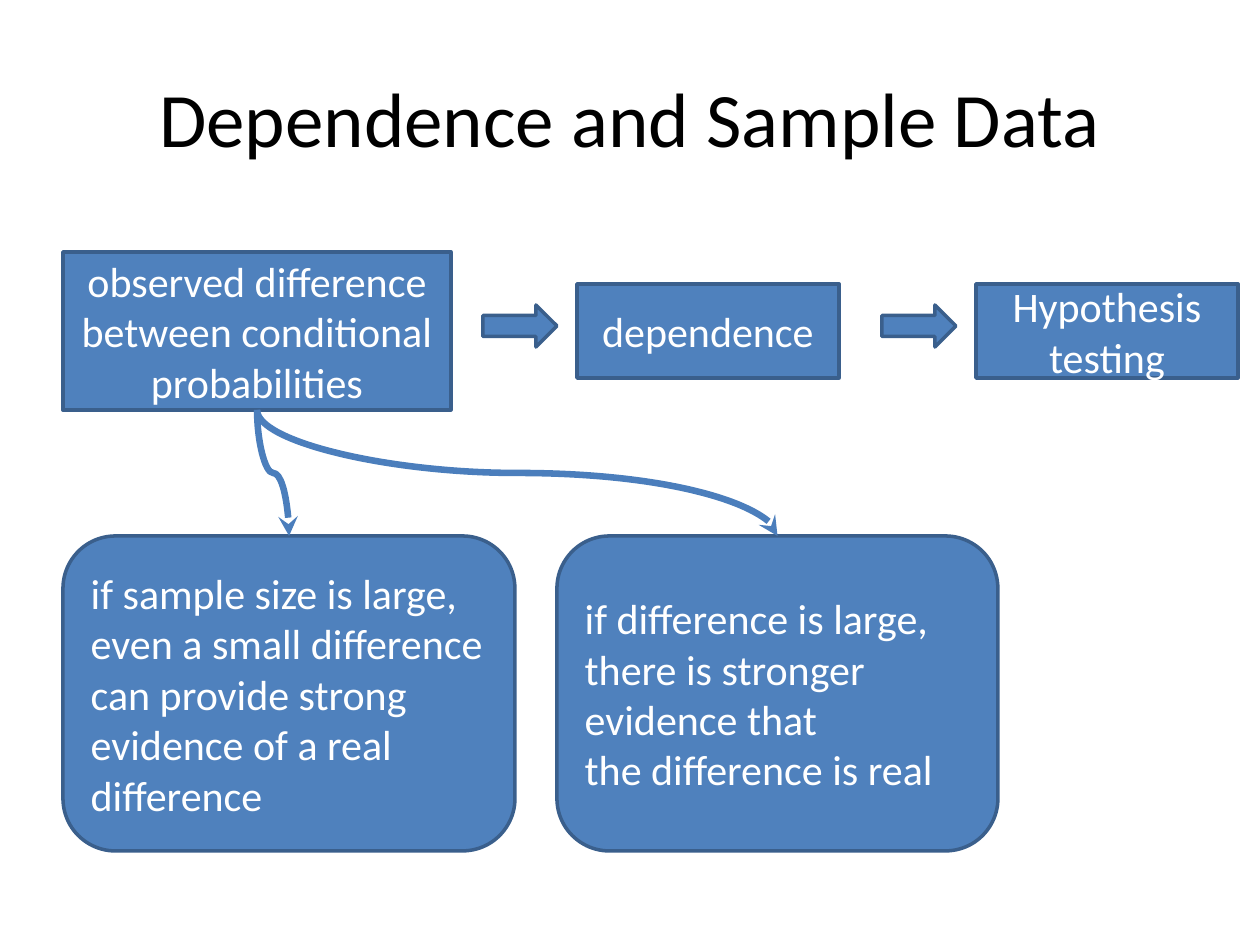
from lxml import etree
from pptx import Presentation
from pptx.dml.color import RGBColor
from pptx.enum.shapes import MSO_CONNECTOR, MSO_SHAPE
from pptx.enum.text import MSO_ANCHOR, PP_ALIGN
from pptx.oxml.ns import qn
from pptx.util import Pt

RECTANGLE = MSO_SHAPE.RECTANGLE
ROUNDED = MSO_SHAPE.ROUNDED_RECTANGLE
ARROW = MSO_SHAPE.RIGHT_ARROW
CURVE = MSO_CONNECTOR.CURVE
MIDDLE = MSO_ANCHOR.MIDDLE
CENTER = PP_ALIGN.CENTER
LEFT = PP_ALIGN.LEFT

EMU_PER_PX = 914400 / 126
FONT = "Calibri"
COLORS = {
    "title": "000000",
    "text": "FFFFFF",
    "fill": "4F81BD",
    "outline": "3A5F8C",
    "connector": "4B7EBC",
}
BOTTOM_SITE = 2
TOP_SITE = 0


def px(length):
    return round(length * EMU_PER_PX)


def color(name):
    return RGBColor.from_string(COLORS[name])


def write_text(shape, text, size, color_name, alignment):
    frame = shape.text_frame
    frame.word_wrap = True
    frame.vertical_anchor = MIDDLE
    frame.text = text
    for para in frame.paragraphs:
        para.alignment = alignment
        for span in para.runs:
            span.font.name = FONT
            span.font.size = Pt(size)
            span.font.color.rgb = color(color_name)


def add_title(page, box, text):
    title = page.shapes.add_textbox(*map(px, box))
    write_text(title, text, 44, "title", CENTER)


def add_block(page, kind, box, text="", alignment=CENTER):
    block = page.shapes.add_shape(kind, *map(px, box))
    block.shadow.inherit = False
    block.fill.solid()
    block.fill.fore_color.rgb = color("fill")
    block.line.color.rgb = color("outline")
    block.line.width = Pt(2)
    if text:
        write_text(block, text, 24, "text", alignment)
    return block


def add_step(page, box, text):
    left, top, width, height = box
    arrow_width, arrow_height, gap = 74, 42, 20
    arrow_top = top + 21
    add_block(page, ARROW, (left, arrow_top, arrow_width, arrow_height))
    text_offset = arrow_width + gap
    add_block(page, RECTANGLE,
              (left + text_offset, top, width - text_offset, height), text)


def add_curve(page, source, target):
    start_x, start_y = source.left + source.width // 2, source.top + source.height
    end_x, end_y = target.left + target.width // 2, target.top
    curve = page.shapes.add_connector(CURVE, start_x, start_y, end_x, end_y)
    curve.begin_connect(source, BOTTOM_SITE)
    curve.end_connect(target, TOP_SITE)
    across, down = end_x - start_x, end_y - start_y
    curve.width, curve.height = down, across
    curve.left = (start_x + end_x - down) // 2
    curve.top = (start_y + end_y - across) // 2
    properties = curve._element.spPr
    frame = properties.find(qn("a:xfrm"))
    frame.set("rot", "16200000")
    frame.set("flipH", "1")
    curve.line.color.rgb = color("connector")
    curve.line.width = Pt(3.75)
    outline = properties.find(qn("a:ln"))
    etree.SubElement(outline, qn("a:tailEnd"), type="stealth")
    etree.SubElement(properties, qn("a:effectLst"))


def add_consequence(page, box, text, source):
    block = add_block(page, ROUNDED, box, text, LEFT)
    add_curve(page, source, block)


def main():
    deck = Presentation()
    deck.slide_width, deck.slide_height = px(1260), px(945)
    page = deck.slides.add_slide(deck.slide_layouts[6])

    add_title(page, (63, 38, 1134, 158), "Dependence and Sample Data")
    observation = add_block(
        page, RECTANGLE, (63, 252, 388, 158),
        "observed difference\nbetween conditional\nprobabilities")
    for left, text in ((483, "dependence"), (882, "Hypothesis testing")):
        add_step(page, (left, 284, 356, 94), text)

    add_consequence(
        page, (63, 536, 452, 315),
        "if sample size is large, even a small difference can provide "
        "strong evidence of a real difference", observation)
    add_consequence(
        page, (557, 536, 441, 315),
        "if difference is large, there is stronger evidence that\n"
        "the difference is real", observation)
    deck.save("out.pptx")


if __name__ == "__main__":
    main()
